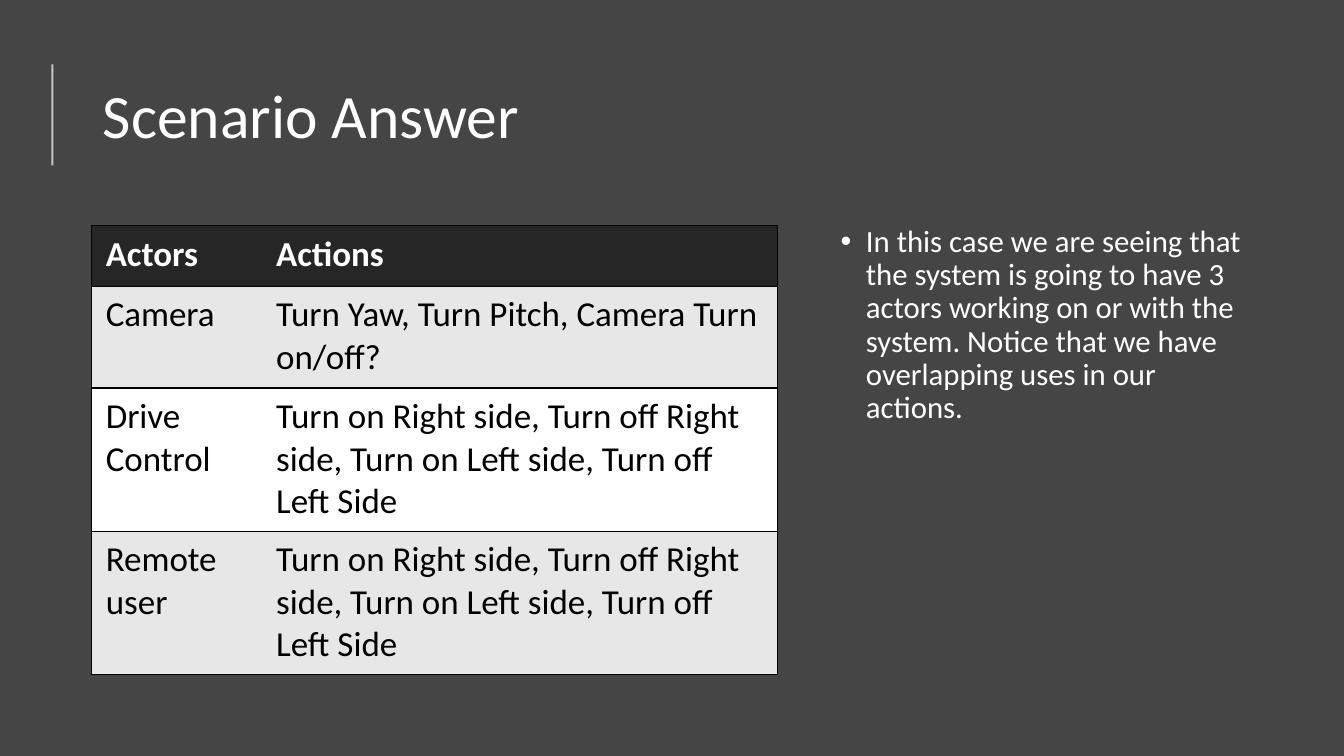
from pptx import Presentation
from pptx.dml.color import RGBColor
from pptx.enum.shapes import MSO_CONNECTOR as Connector
from pptx.enum.text import MSO_ANCHOR as Anchor, MSO_AUTO_SIZE as AutoSize, PP_ALIGN as Align
from pptx.oxml.ns import qn
from pptx.util import Inches, Pt
from lxml.etree import SubElement

FONT = "Calibri"
WHITE, BLACK, BACKGROUND = "FFFFFF", "000000", "454545"
HEADER_FILL, BAND_FILLS = "262626", ("E7E7E7", "FFFFFF")
SIDE_ACTIONS = "Turn on Right side, Turn off Right side, Turn on Left side, Turn off Left Side"
ACTOR_ROWS = [
    ("Actors", "Actions"),
    ("Camera", "Turn Yaw, Turn Pitch, Camera Turn on/off?"),
    ("Drive Control", SIDE_ACTIONS),
    ("Remote user", SIDE_ACTIONS),
]
COLUMN_WIDTHS = (1.69, 5.11)
ROW_HEIGHTS = (0.6, 1.01, 1.42, 1.42)
EXPLANATION = (
    "In this case we are seeing that the system is going to have 3 actors "
    "working on or with the system. Notice that we have overlapping uses in our actions."
)


def color(value):
    return RGBColor.from_string(value)


def paint(fill, value):
    fill.solid()
    fill.fore_color.rgb = color(value)


def add_span(para, text, size, value, bold=False):
    span = para.add_run()
    span.text = text
    span.font.name = FONT
    span.font.size = Pt(size)
    span.font.bold = bold
    span.font.color.rgb = color(value)


def format_title(title, text):
    title.left, title.top = Inches(0.92), Inches(0.52)
    title.width, title.height = Inches(11.5), Inches(1.31)
    frame = title.text_frame
    frame.word_wrap = True
    frame.auto_size = AutoSize.NONE
    frame.vertical_anchor = Anchor.MIDDLE
    para = frame.paragraphs[0]
    para.alignment = Align.LEFT
    para.line_spacing = 0.9
    add_span(para, text, 44, WHITE)


def add_accent_line(page):
    line = page.shapes.add_connector(
        Connector.STRAIGHT, Inches(0.52), Inches(1.64), Inches(0.52), Inches(0.64)
    )
    line.line.width = Pt(1.5)
    paint(line.line.fill, WHITE)
    properties = line._element.spPr
    SubElement(next(properties.iter(qn("a:srgbClr"))), qn("a:alpha"), val="70000")
    SubElement(properties, qn("a:effectLst"))


def add_bullet_text(page, text):
    box = page.shapes.add_textbox(Inches(8.24), Inches(2.19), Inches(4.18), Inches(4.56))
    box.text_frame.word_wrap = True
    para = box.text_frame.paragraphs[0]
    para.line_spacing = 0.9
    properties = para._p.get_or_add_pPr()
    properties.set("marL", str(Inches(0.25)))
    properties.set("indent", str(Inches(-0.25)))
    SubElement(properties, qn("a:buFont"), typeface="Arial")
    SubElement(properties, qn("a:buChar"), char="•")
    add_span(para, text, 22, WHITE)


def set_borders(cell, visible_sides):
    properties = cell._tc.get_or_add_tcPr()
    for side in "LRTB":
        border = SubElement(properties, qn(f"a:ln{side}"), w=str(Pt(1)))
        if side in visible_sides:
            fill = SubElement(border, qn("a:solidFill"))
            SubElement(fill, qn("a:srgbClr"), val=BLACK)
        else:
            SubElement(border, qn("a:noFill"))


def format_cell(cell, text, fill, text_color, bold, sides):
    cell.margin_left = cell.margin_right = Inches(0.14)
    cell.margin_top = cell.margin_bottom = Inches(0.07)
    set_borders(cell, sides)
    paint(cell.fill, fill)
    add_span(cell.text_frame.paragraphs[0], text, 25, text_color, bold)


def add_actor_table(page):
    table = page.shapes.add_table(
        len(ACTOR_ROWS), len(COLUMN_WIDTHS), Inches(0.91), Inches(2.24),
        Inches(sum(COLUMN_WIDTHS)), Inches(sum(ROW_HEIGHTS)),
    ).table
    for column, width in zip(table.columns, COLUMN_WIDTHS):
        column.width = Inches(width)
    for row, height in zip(table.rows, ROW_HEIGHTS):
        row.height = Inches(height)
    for i, texts in enumerate(ACTOR_ROWS):
        header = i == 0
        fill = HEADER_FILL if header else BAND_FILLS[(i - 1) % 2]
        text_color = WHITE if header else BLACK
        for j, (text, sides) in enumerate(zip(texts, ("LTB", "RTB"))):
            format_cell(table.cell(i, j), text, fill, text_color, header, sides)


def main():
    deck = Presentation()
    deck.slide_width, deck.slide_height = Inches(13.33), Inches(7.5)
    page = deck.slides.add_slide(deck.slide_layouts[5])
    paint(page.background.fill, BACKGROUND)
    format_title(page.shapes.title, "Scenario Answer")
    add_accent_line(page)
    add_bullet_text(page, EXPLANATION)
    add_actor_table(page)
    deck.save("out.pptx")


if __name__ == "__main__":
    main()
